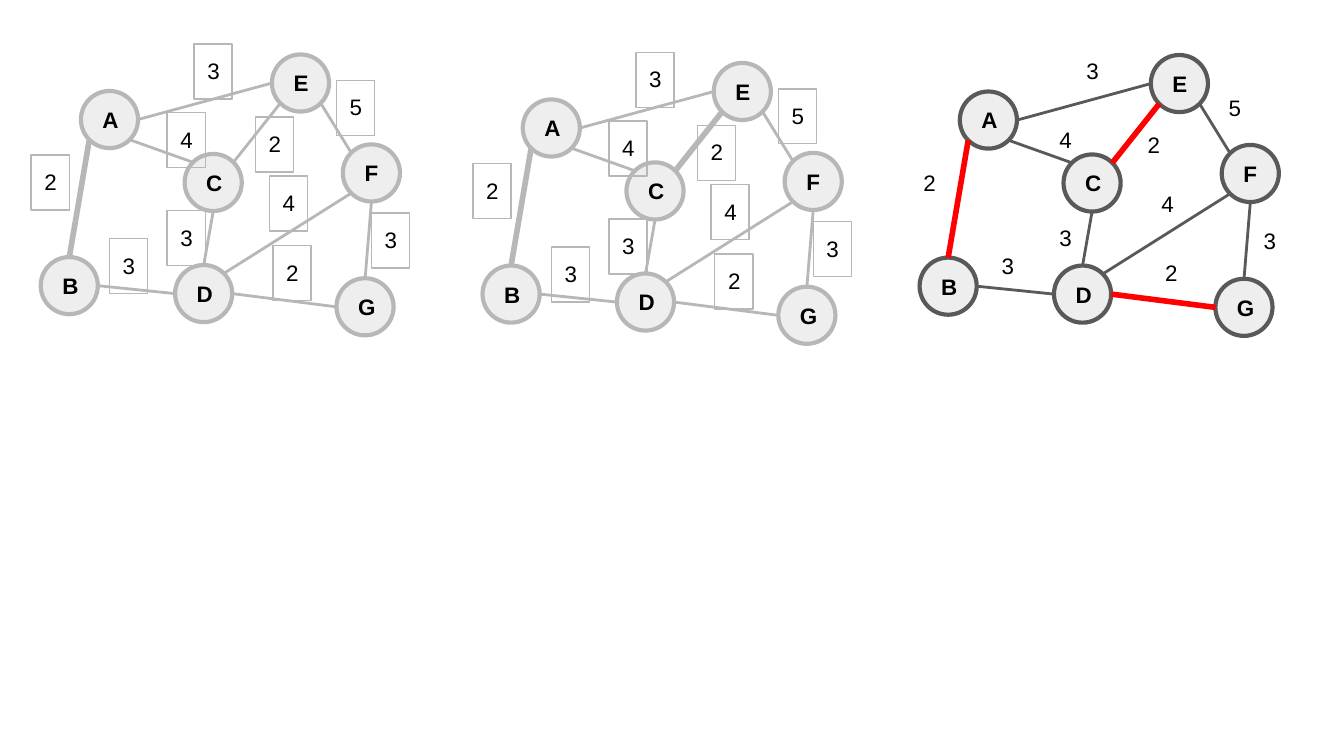
from math import cos, radians, sin
from typing import NamedTuple

from lxml.etree import SubElement
from pptx import Presentation
from pptx.dml.color import RGBColor
from pptx.enum.shapes import MSO_CONNECTOR as Connector, MSO_SHAPE as Shape
from pptx.enum.text import MSO_ANCHOR as Anchor, PP_ALIGN as Align
from pptx.oxml.ns import qn
from pptx.util import Cm, Pt

BLACK = RGBColor(0x00, 0x00, 0x00)
PALE = RGBColor(0xEE, 0xEE, 0xEE)
GRAY = RGBColor(0xB7, 0xB7, 0xB7)
DARK = RGBColor(0x59, 0x59, 0x59)
RED = RGBColor(0xFF, 0x00, 0x00)

NODE_SIZE = 1.08
LABEL_WIDTH, LABEL_HEIGHT = 0.72, 1.04
INSET = 0.25

NODES = {
    "A": (0.76, 0.69),
    "B": (0, 3.83),
    "C": (2.72, 1.88),
    "D": (2.54, 3.98),
    "E": (4.37, 0),
    "F": (5.71, 1.70),
    "G": (5.59, 4.23),
}
ANGLES = {"E": 0, "SE": 45, "S": 90, "SW": 135, "W": 180, "NW": 225, "N": 270, "NE": 315}


class Box(NamedTuple):
    left: float
    top: float


class Edge(NamedTuple):
    start: str
    start_side: str
    end: str
    end_side: str


EDGES = [
    Edge("A", "SW", "B", "N"),
    Edge("A", "SE", "C", "NW"),
    Edge("C", "NE", "E", "SW"),
    Edge("A", "E", "E", "W"),
    Edge("E", "SE", "F", "NW"),
    Edge("C", "S", "D", "N"),
    Edge("D", "E", "G", "W"),
    Edge("G", "N", "F", "S"),
    Edge("B", "E", "D", "W"),
    Edge("D", "NE", "F", "SW"),
]
WEIGHTS = [
    ("2", -0.18, 1.90),
    ("3", 2.90, -0.20),
    ("4", 2.39, 1.10),
    ("5", 5.59, 0.49),
    ("2", 4.06, 1.18),
    ("3", 1.30, 3.48),
    ("3", 2.39, 2.95),
    ("4", 4.32, 2.30),
    ("2", 4.39, 3.61),
    ("3", 6.25, 3.00),
]


def write_text(shape, text, bold=False, align=Align.LEFT, anchor=Anchor.TOP):
    frame = shape.text_frame
    frame.word_wrap = True
    frame.vertical_anchor = anchor
    frame.margin_left = frame.margin_right = Cm(INSET)
    frame.margin_top = frame.margin_bottom = Cm(INSET)
    para = frame.paragraphs[0]
    para.alignment = align
    span = para.add_run()
    span.text = text
    span.font.name = "Arial"
    span.font.size = Pt(12)
    span.font.bold = bold
    span.font.color.rgb = BLACK


def add_node(page, box, name, color):
    left, top = NODES[name]
    node = page.shapes.add_shape(
        Shape.OVAL, Cm(box.left + left), Cm(box.top + top), Cm(NODE_SIZE), Cm(NODE_SIZE)
    )
    node.shadow.inherit = False
    node.fill.solid()
    node.fill.fore_color.rgb = PALE
    node.line.color.rgb = color
    node.line.width = Pt(2.25)
    write_text(node, name, bold=True, align=Align.CENTER, anchor=Anchor.MIDDLE)


def rim_point(box, name, side):
    left, top = NODES[name]
    radius = NODE_SIZE / 2
    angle = radians(ANGLES[side])
    return (
        Cm(box.left + left + radius * (1 + cos(angle))),
        Cm(box.top + top + radius * (1 + sin(angle))),
    )


def add_edge(page, box, edge, color, width):
    start = rim_point(box, edge.start, edge.start_side)
    end = rim_point(box, edge.end, edge.end_side)
    line = page.shapes.add_connector(Connector.STRAIGHT, *start, *end)
    line.line.color.rgb = color
    line.line.width = Pt(width)
    SubElement(line._element.spPr, qn("a:effectLst"))


def add_weight(page, box, text, left, top, frame_color):
    bounds = Cm(box.left + left), Cm(box.top + top), Cm(LABEL_WIDTH), Cm(LABEL_HEIGHT)
    if frame_color is None:
        label = page.shapes.add_textbox(*bounds)
    else:
        label = page.shapes.add_shape(Shape.RECTANGLE, *bounds)
        label.shadow.inherit = False
        label.fill.background()
        label.line.color.rgb = frame_color
        label.line.width = Pt(0.75)
    write_text(label, text)


def add_graph(page, box, chosen, color, accent, frame_color=None):
    for name in NODES:
        add_node(page, box, name, color)
    for edge in EDGES:
        if edge.start + edge.end in chosen:
            add_edge(page, box, edge, accent, 3)
        else:
            add_edge(page, box, edge, color, 1.5)
    for text, left, top in WEIGHTS:
        add_weight(page, box, text, left, top, frame_color)


def main():
    deck = Presentation()
    deck.slide_width, deck.slide_height = Cm(25.4), Cm(14.29)
    page = deck.slides.add_slide(deck.slide_layouts[6])
    add_graph(page, Box(0.77, 1.03), {"AB"}, GRAY, GRAY, frame_color=GRAY)
    add_graph(page, Box(9.12, 1.19), {"AB", "CE"}, GRAY, GRAY, frame_color=GRAY)
    add_graph(page, Box(17.38, 1.04), {"AB", "CE", "DG"}, DARK, RED)
    deck.save("out.pptx")


if __name__ == "__main__":
    main()
